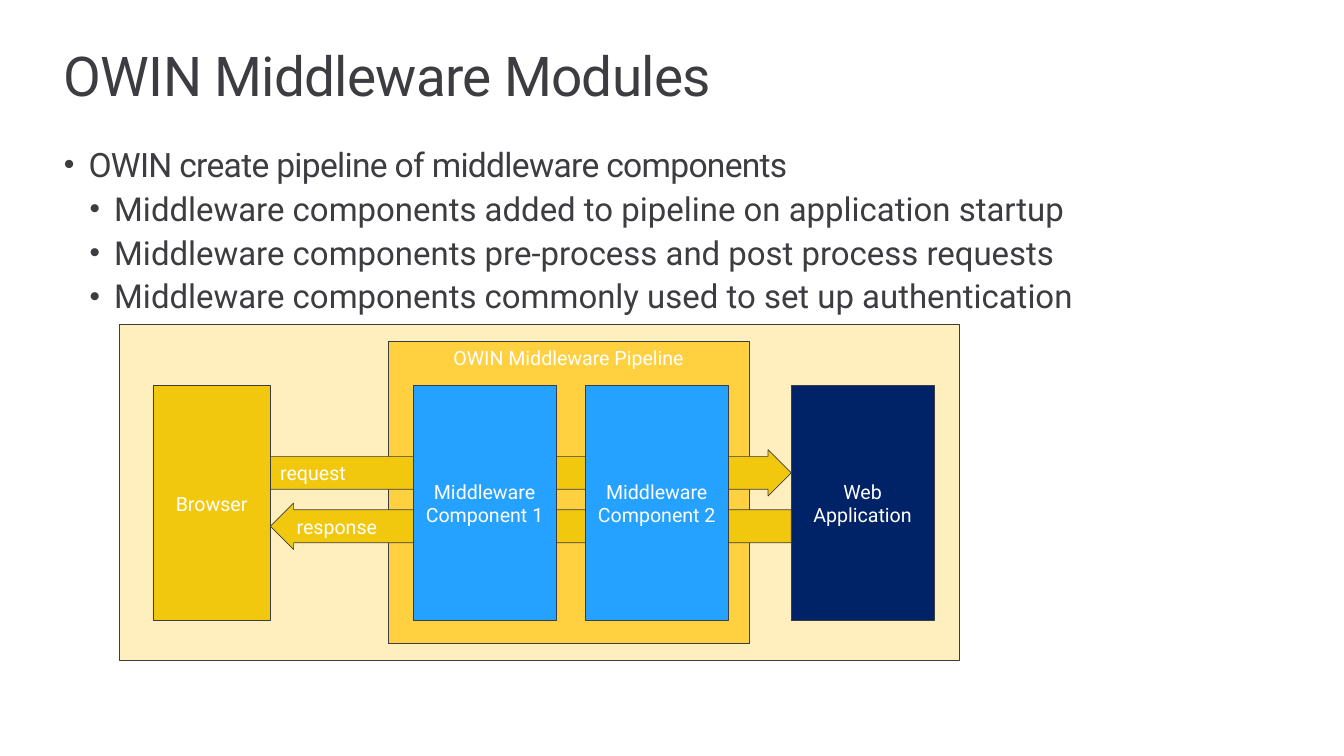
"""Build the OWIN middleware pipeline slide on an 80 by 45 grid."""
from dataclasses import dataclass

from lxml.etree import SubElement
from pptx import Presentation
from pptx.dml.color import RGBColor
from pptx.enum.shapes import MSO_SHAPE
from pptx.enum.text import MSO_ANCHOR, PP_ALIGN
from pptx.oxml.ns import qn
from pptx.slide import Slide
from pptx.text.text import TextFrame, _Paragraph
from pptx.util import Inches, Length, Pt

COLS, ROWS, CELL = 80, 45, 0.17
PANEL_COL, PANEL_ROW = 7.1, 19.3
BOX_ROW, BOX_ROWS = 3.65, 14
FONT = "Roboto"

INK = RGBColor(0x3C, 0x3C, 0x41)
WHITE = RGBColor(0xFF, 0xFF, 0xFF)
CREAM = RGBColor(0xFF, 0xEF, 0xBF)
AMBER = RGBColor(0xFF, 0xD0, 0x40)
GOLD = RGBColor(0xF2, 0xC8, 0x0F)
BLUE = RGBColor(0x25, 0xA1, 0xFF)
NAVY = RGBColor(0x00, 0x22, 0x67)


@dataclass(frozen=True)
class Block:
    col: float
    row: float
    cols: float
    rows: float
    fill: RGBColor
    text: str = ""
    kind: MSO_SHAPE = MSO_SHAPE.RECTANGLE
    align: PP_ALIGN = PP_ALIGN.CENTER
    anchor: MSO_ANCHOR = MSO_ANCHOR.MIDDLE


@dataclass(frozen=True)
class Bullet:
    text: str
    level: int = 1
    size: float = 24
    leading: float = 32
    spacing: float = 0


def box(col: float, cols: float, fill: RGBColor, text: str) -> Block:
    return Block(col, BOX_ROW, cols, BOX_ROWS, fill, text)


def arrow(row: float, text: str, kind: MSO_SHAPE) -> Block:
    return Block(9, row, 31, 2.76, GOLD, text, kind, PP_ALIGN.LEFT)


BLOCKS = [
    Block(0, 0, 50, 20, CREAM),
    Block(16, 1, 21.5, 18, AMBER, "OWIN Middleware Pipeline", anchor=MSO_ANCHOR.TOP),
    arrow(7.47, "request", MSO_SHAPE.RIGHT_ARROW),
    box(2, 7, GOLD, "Browser"),
    box(40, 8.5, NAVY, "Web\nApplication"),
    arrow(10.65, "response", MSO_SHAPE.LEFT_ARROW),
    box(17.5, 8.5, BLUE, "Middleware\nComponent 1"),
    box(27.75, 8.5, BLUE, "Middleware\nComponent 2"),
]

BULLETS = [
    Bullet("OWIN create pipeline of middleware components", 0, 24.5, 36, -0.5),
    Bullet("Middleware components added to pipeline on application startup"),
    Bullet("Middleware components pre-process and post process requests"),
    Bullet("Middleware components commonly used to set up authentication"),
]


def grid(cells: float) -> Length:
    return Inches(cells * CELL)


def style(p: _Paragraph, size: float, color: RGBColor, spacing: float = 0) -> None:
    for r in p.runs:
        r.font.name = FONT
        r.font.size = Pt(size)
        r.font.color.rgb = color
        if spacing:
            r.font._element.set("spc", str(int(spacing * 100)))


def add_text(s: Slide, col: float, row: float, cols: float, rows: float) -> TextFrame:
    tf = s.shapes.add_textbox(*map(grid, (col, row, cols, rows))).text_frame
    tf.word_wrap = True
    tf.margin_left = tf.margin_top = tf.margin_right = tf.margin_bottom = 0
    return tf


def add_bullet(p: _Paragraph, bullet: Bullet) -> None:
    p.text = bullet.text
    p.level = bullet.level
    p.line_spacing = Pt(bullet.leading)
    pPr = p._p.get_or_add_pPr()
    pPr.set("marL", str(Inches(0.25 + 0.26 * bullet.level)))
    pPr.set("indent", str(Inches(-0.25)))
    SubElement(pPr, qn("a:buSzPct")).set("val", "90000")
    SubElement(pPr, qn("a:buFont")).set("typeface", "Arial")
    SubElement(pPr, qn("a:buChar")).set("char", "•")
    style(p, bullet.size, INK, bullet.spacing)


def add_block(s: Slide, block: Block) -> None:
    sp = s.shapes.add_shape(
        block.kind, grid(PANEL_COL + block.col), grid(PANEL_ROW + block.row),
        grid(block.cols), grid(block.rows))
    sp.shadow.inherit = False
    sp.fill.solid()
    sp.fill.fore_color.rgb = block.fill
    sp.line.color.rgb = INK
    sp.line.width = Pt(0.5)
    if block.kind != MSO_SHAPE.RECTANGLE:
        sp.adjustments[0] = 0.71
    if block.text:
        tf = sp.text_frame
        tf.text = block.text
        tf.word_wrap = True
        tf.vertical_anchor = block.anchor
        for p in tf.paragraphs:
            p.alignment = block.align
            style(p, 14.3, WHITE)


def main() -> None:
    prs = Presentation()
    prs.slide_width, prs.slide_height = grid(COLS), grid(ROWS)
    s = prs.slides.add_slide(prs.slide_layouts[6])

    title = add_text(s, 3.8, 2.94, 70.9, 2.5).paragraphs[0]
    title.text = "OWIN Middleware Modules"
    title.line_spacing = 0.9
    style(title, 40, INK, -0.5)

    body = add_text(s, 3.8, 8, 72.3, 9.1)
    for i, bullet in enumerate(BULLETS):
        add_bullet(body.add_paragraph() if i else body.paragraphs[0], bullet)

    for block in BLOCKS:
        add_block(s, block)
    prs.save("out.pptx")


if __name__ == "__main__":
    main()
